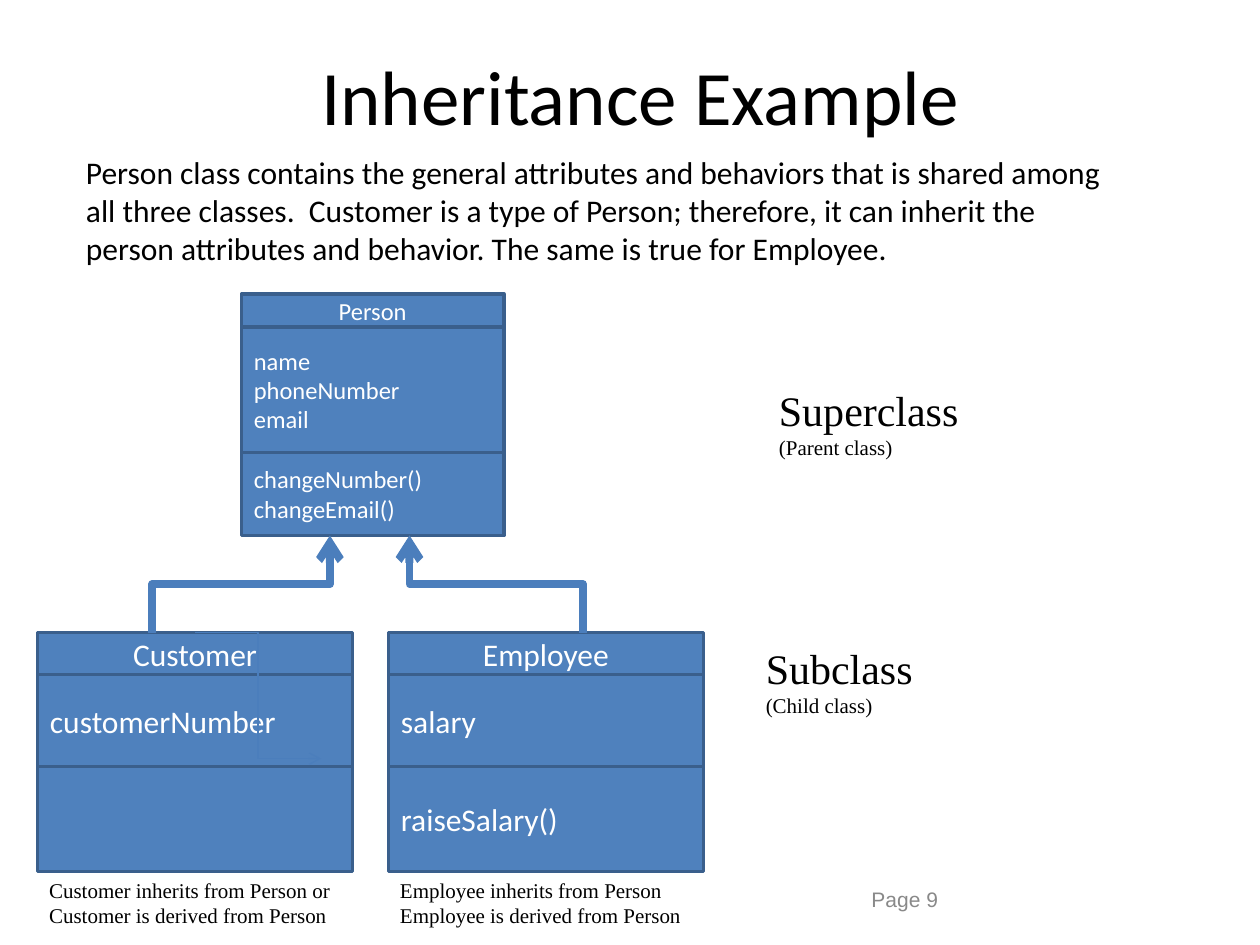
from dataclasses import dataclass

from lxml import etree
from pptx import Presentation
from pptx import util as u
from pptx.dml.color import RGBColor
from pptx.enum import shapes, text
from pptx.oxml import ns

Pt = u.Pt
LEFT, CENTER = text.PP_ALIGN.LEFT, text.PP_ALIGN.CENTER
TOP, MIDDLE = text.MSO_ANCHOR.TOP, text.MSO_ANCHOR.MIDDLE


@dataclass(frozen=True)
class Theme:
    black: str = "000000"
    white: str = "FFFFFF"
    grey: str = "898989"
    fill: str = "4F81BD"
    edge: str = "3A5F8C"
    arrow: str = "4B7EBC"
    sans: str = "Calibri"
    serif: str = "Times New Roman"
    footer: str = "Arial"
    title: int = 44
    heading: int = 24
    body: int = 18
    member: int = 14
    note: int = 12


class Deck:
    """Draw styled elements on the current slide, with lengths in points."""

    def __init__(self, theme, width, height):
        self.t = theme
        self.prs = Presentation()
        self.prs.slide_width, self.prs.slide_height = Pt(width), Pt(height)
        self.s = None

    def slide(self):
        self.s = self.prs.slides.add_slide(self.prs.slide_layouts[6])

    def add_lines(self, sp, lines, font, color, align=LEFT, anchor=TOP):
        tf = sp.text_frame
        tf.word_wrap, tf.vertical_anchor = True, anchor
        for i, (line, size) in enumerate(lines):
            p = tf.paragraphs[0] if i == 0 else tf.add_paragraph()
            p.alignment = align
            r = p.add_run()
            r.text = line
            r.font.name, r.font.size = font, Pt(size)
            r.font.color.rgb = RGBColor.from_string(color)

    def label(self, x, y, w, h, lines, font, color=None, align=LEFT, anchor=TOP):
        sp = self.s.shapes.add_textbox(Pt(x), Pt(y), Pt(w), Pt(h))
        self.add_lines(sp, lines, font, color or self.t.black, align, anchor)

    def cell(self, x, y, w, h, lines, size, align):
        sp = self.s.shapes.add_shape(
            shapes.MSO_SHAPE.RECTANGLE, Pt(x), Pt(y), Pt(w), Pt(h))
        sp.shadow.inherit = False
        sp.fill.solid()
        sp.fill.fore_color.rgb = RGBColor.from_string(self.t.fill)
        sp.line.color.rgb = RGBColor.from_string(self.t.edge)
        sp.line.width = Pt(2)
        self.add_lines(sp, [(line, size) for line in lines], self.t.sans,
                       self.t.white, align, MIDDLE)

    def uml_class(self, x, y, w, heights, sections, size):
        for i, (h, lines) in enumerate(zip(heights, sections)):
            self.cell(x, y, w, h, lines, size, LEFT if i else CENTER)
            y += h

    def elbow(self, x1, y1, x2, y2, width):
        c = self.s.shapes.add_connector(
            shapes.MSO_CONNECTOR.ELBOW, Pt(x1), Pt(y1), Pt(x2), Pt(y2))
        c.line.color.rgb = RGBColor.from_string(self.t.arrow)
        c.line.width = Pt(width)
        props = c.element.spPr
        tail = etree.SubElement(props.find(ns.qn("a:ln")), ns.qn("a:tailEnd"))
        tail.set("type", "arrow")
        etree.SubElement(props, ns.qn("a:effectLst"))
        return c

    def inherit_arrow(self, x1, y1, x2, y2, width):
        cx, cy = (x1 + x2) / 2, (y1 + y2) / 2
        rise, run = (y1 - y2) / 2, (x2 - x1) / 2
        c = self.elbow(cx - rise, cy - run, cx + rise, cy + run, width)
        c.element.spPr.find(ns.qn("a:xfrm")).set("rot", str(270 * 60000))


def main():
    t = Theme()
    d = Deck(t, 720, 540)
    d.slide()
    d.label(60, 18, 612, 72, [("Inheritance Example", t.title)], t.sans,
            align=CENTER, anchor=MIDDLE)
    d.label(42, 84, 594, 73, [(
        "Person class contains the general attributes and behaviors that is "
        "shared among all three classes.  Customer is a type of Person; "
        "therefore, it can inherit the person attributes and behavior. "
        "The same is true for Employee.", t.body)], t.sans)

    for x, y, w, name, role in (
            (438, 216, 132, "Superclass", "(Parent class)"),
            (430.5, 363.5, 120, "Subclass", "(Child class)")):
        d.label(x, y, w, 51, [(name, t.heading), (role, t.note)], t.serif)

    person_top, sub_top, sub_w = 168, 361.5, 180
    person_rows, sub_rows = (19, 71.5, 47.5), (24, 52.5, 60)
    person_bottom = person_top + sum(person_rows)
    d.uml_class(138, person_top, 150, person_rows,
                (["Person"], ["name", "phoneNumber", "email"],
                 ["changeNumber()", "changeEmail()"]), t.member)

    subclasses = (
        (21.5, (["Customer"], ["customerNumber"], []), 192,
         ["Customer inherits from Person or Customer is derived from Person"]),
        (222, (["Employee"], ["salary"], ["raiseSalary()"]), sub_w,
         ["Employee inherits from Person", "Employee is derived from Person"]))
    for x, sections, note_w, notes in subclasses:
        d.uml_class(x, sub_top, sub_w, sub_rows, sections, t.body)
        d.label(x - 0.5, sub_top + sum(sub_rows), note_w, 36,
                [(n, t.note) for n in notes], t.serif)

    d.elbow(111.5, sub_top, 183.5, sub_top + 72, 0.75)
    for start, end in ((87, 188.5), (333, 234)):
        d.inherit_arrow(start, sub_top, end, person_bottom, 4.5)

    d.label(403, 499.5, 228, 29, [("Page 9", t.note)], t.footer, t.grey,
            CENTER, MIDDLE)
    d.prs.save("out.pptx")


if __name__ == "__main__":
    main()
